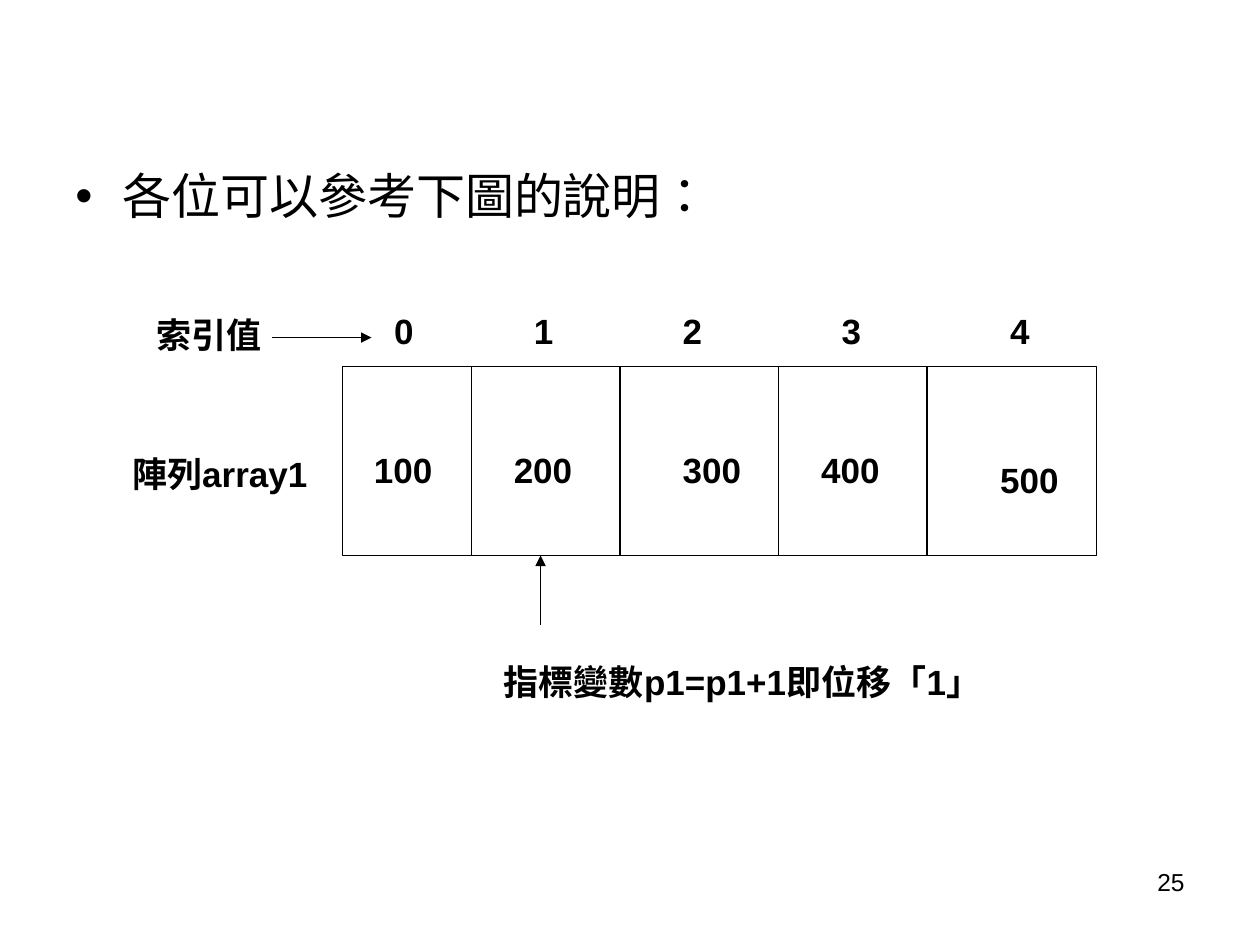
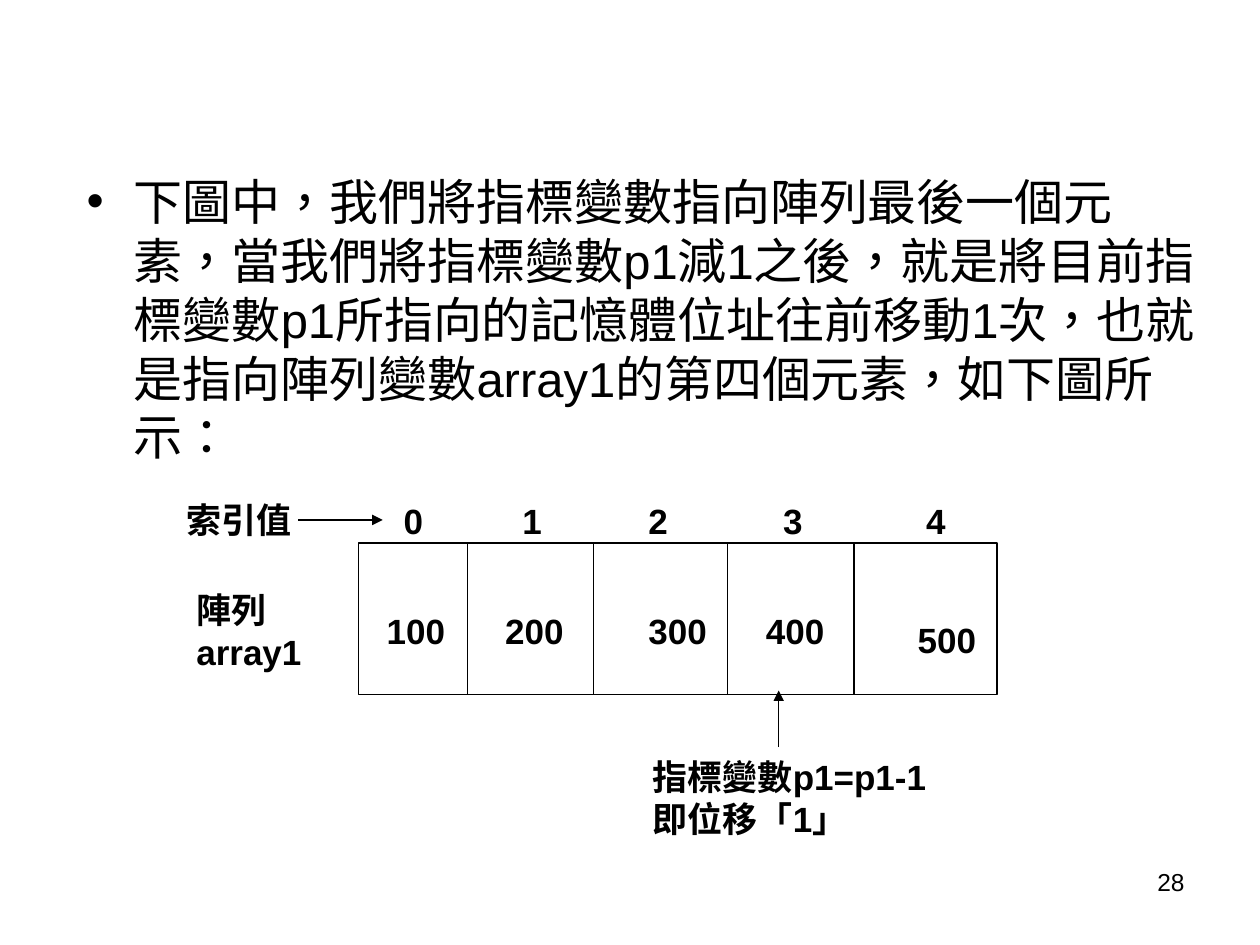
from lxml.etree import SubElement
from pptx import Presentation
from pptx.dml.color import RGBColor
from pptx.enum.shapes import MSO_CONNECTOR as Connector, MSO_SHAPE as Shape
from pptx.enum.text import PP_ALIGN as Align
from pptx.oxml.ns import qn
from pptx.util import Pt

COLOURS = {"ink": "000000"}
INK = RGBColor.from_string(COLOURS["ink"])
LINE_WIDTH = 0.75

FONTS = {
    "body": {"name": "Arial", "size": Pt(28), "bold": False},
    "label": {"name": "Arial", "size": Pt(20), "bold": True},
    "page": {"name": "Arial", "size": Pt(14), "bold": False},
}
BODY_SIZE = (648, 396)
BODY_INDENT = 27
PAGE_BOX = (516.25, 491.75, 167.75, 37.5)

# The array at full scale, measured from the top left corner of its frame
ARRAY_SIZE = (430.6, 108)
DIVIDERS = (73.5, 158.5, 249, 334)
ELEMENTS = [  # index, its left; value, its left and top
    ("0", 22.3, "100", 10.8, 43.2),
    ("1", 102.2, "200", 90.7, 43.2),
    ("2", 187.2, "300", 187.2, 43.2),
    ("3", 278, "400", 266.4, 43.2),
    ("4", 374.4, "500", 368.6, 49),
]
INDEX_TOP = -36
INDEX_ARROW = (-40.3, 16.5, -16.6)  # start, end, height
INDEX_WIDTH, VALUE_WIDTH, LABEL_HEIGHT = 27, 51, 31.5

SLIDES = [
    {
        "page": "25",
        "body": "各位可以參考下圖的說明：",
        "body_at": (36, 84.5),
        "line_spacing": 1.2,
        "array_at": (195.8, 209.5),
        "scale": (1, 1),
        "pointer": (308.9, 357.1, 317.5),  # x, start, tip
        "labels": [
            (["指標變數p1=p1+1即位移「1」"], (280.8, 373.7, 318, 31.5)),
            (["索引值"], (82.1, 175.7, 78, 31.5)),
            (["陣列array1"], (68.4, 254.9, 123, 31.5)),
        ],
    },
    {
        "page": "28",
        "body": "下圖中，我們將指標變數指向陣列最後一個元素，當我們將指標變數p1減1之後，"
                "就是將目前指標變數p1所指向的記憶體位址往前移動1次，"
                "也就是指向陣列變數array1的第四個元素，如下圖所示：",
        "body_at": (42.5, 94.5),
        "line_spacing": None,
        "array_at": (204.7, 310.4),
        "scale": (0.848, 0.8),
        "pointer": (445, 427, 394.6),
        "labels": [
            (["指標變數p1=p1-1即位移「1」"], (365.8, 428.4, 175.7, 55.5)),
            (["索引值"], (99.4, 281.5, 78, 31.5)),
            (["陣列", "array1"], (105.1, 332.6, 78, 55.5)),
        ],
    },
]


def add_text(slide, lines, box, style):
    """Add a text box with one paragraph per line; return its paragraphs."""
    frame = slide.shapes.add_textbox(*map(Pt, box)).text_frame
    frame.word_wrap = True
    for number, line in enumerate(lines):
        paragraph = frame.add_paragraph() if number else frame.paragraphs[0]
        run = paragraph.add_run()
        run.text = line
        run._r.get_or_add_rPr().set("lang", "zh-TW")
        for attribute, value in FONTS[style].items():
            setattr(run.font, attribute, value)
        run.font.color.rgb = INK
    return frame.paragraphs


def add_line(slide, start, end, arrow=False):
    line = slide.shapes.add_connector(Connector.STRAIGHT, *map(Pt, start + end))
    line.line.color.rgb = INK
    line.line.width = Pt(LINE_WIDTH)
    properties = line._element.spPr
    if arrow:
        SubElement(properties.find(qn("a:ln")), qn("a:tailEnd"), type="triangle")
    SubElement(properties, qn("a:effectLst"))


def add_body(slide, content):
    paragraph = add_text(slide, [content["body"]], content["body_at"] + BODY_SIZE, "body")[0]
    if content["line_spacing"]:
        paragraph.line_spacing = content["line_spacing"]
    properties = paragraph._p.get_or_add_pPr()
    for attribute, value in {
        "marL": str(Pt(BODY_INDENT)),
        "indent": str(-Pt(BODY_INDENT)),
        "hangingPunct": "0",
    }.items():
        properties.set(attribute, value)
    bullet_colour = SubElement(properties, qn("a:buClr"))
    SubElement(bullet_colour, qn("a:srgbClr"), val=COLOURS["ink"])
    SubElement(properties, qn("a:buFont"), typeface=FONTS["body"]["name"])
    SubElement(properties, qn("a:buChar"), char="•")


def add_array(slide, content):
    left, top = content["array_at"]
    across, down = content["scale"]

    def place(x, y):
        return left + x * across, top + y * down

    width, height = ARRAY_SIZE
    frame = slide.shapes.add_shape(
        Shape.RECTANGLE, *map(Pt, (left, top, width * across, height * down)))
    frame.shadow.inherit = False
    frame.fill.background()
    frame.line.color.rgb = INK
    frame.line.width = Pt(LINE_WIDTH)
    for x in DIVIDERS:
        add_line(slide, place(x, 0), place(x, height))

    for index, index_left, value, value_left, value_top in ELEMENTS:
        for text, corner, text_width in (
            (index, place(index_left, INDEX_TOP), INDEX_WIDTH),
            (value, place(value_left, value_top), VALUE_WIDTH),
        ):
            add_text(slide, [text], corner + (text_width, LABEL_HEIGHT), "label")

    arrow_start, arrow_end, arrow_y = INDEX_ARROW
    add_line(slide, place(arrow_start, arrow_y), place(arrow_end, arrow_y), arrow=True)
    pointer_x, pointer_start, pointer_tip = content["pointer"]
    add_line(slide, (pointer_x, pointer_start), (pointer_x, pointer_tip), arrow=True)
    for lines, box in content["labels"]:
        add_text(slide, lines, box, "label")


def main():
    deck = Presentation()
    deck.slide_width, deck.slide_height = Pt(720), Pt(540)
    for content in SLIDES:
        slide = deck.slides.add_slide(deck.slide_layouts[6])
        add_body(slide, content)
        add_array(slide, content)
        add_text(slide, [content["page"]], PAGE_BOX, "page")[0].alignment = Align.RIGHT
    deck.save("out.pptx")


if __name__ == "__main__":
    main()
